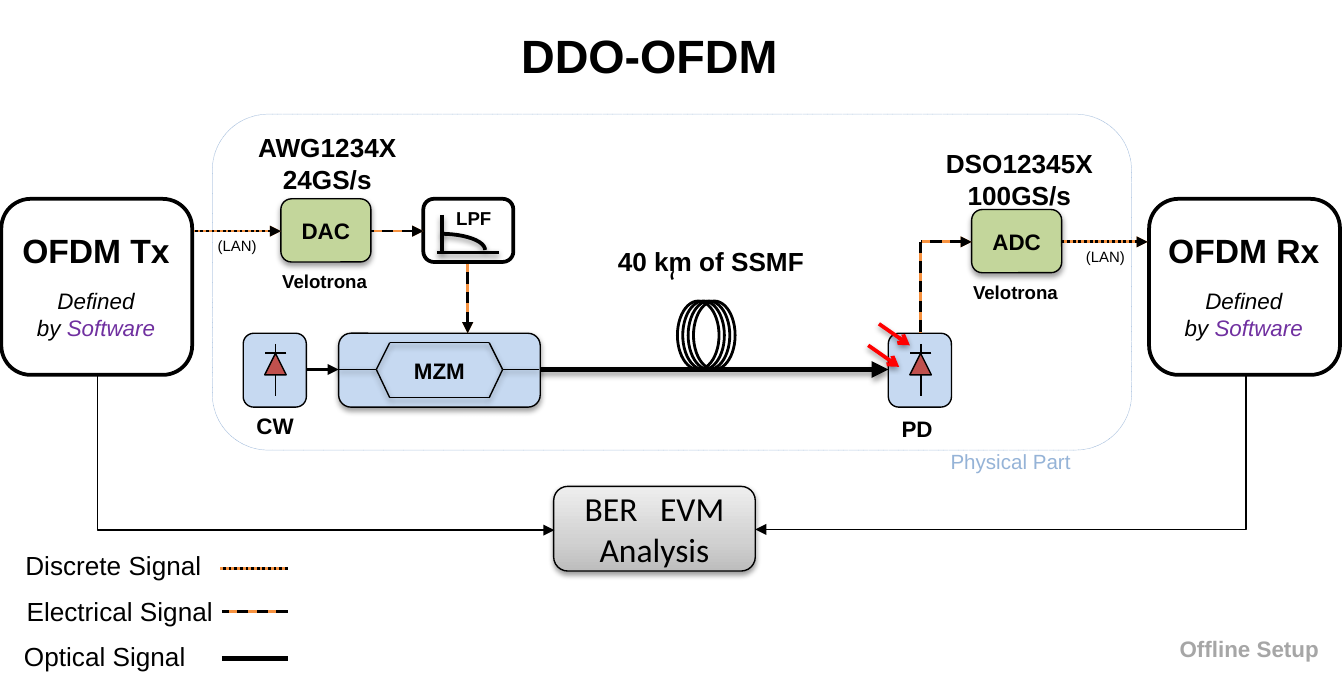
from dataclasses import dataclass
from itertools import pairwise
from typing import NamedTuple

from lxml.etree import SubElement
from pptx import Presentation
from pptx.dml.color import RGBColor
from pptx.enum.dml import MSO_LINE
from pptx.enum.shapes import MSO_CONNECTOR, MSO_SHAPE
from pptx.enum.text import MSO_ANCHOR, MSO_AUTO_SIZE, PP_ALIGN
from pptx.oxml import parse_xml
from pptx.oxml.ns import nsdecls, qn
from pptx.util import Inches, Pt


@dataclass(frozen=True)
class Theme:
    black: str = "000000"
    white: str = "FFFFFF"
    orange: str = "F69240"
    red: str = "FF0000"
    optical: str = "C6D9F1"
    converter: str = "C3D69B"
    diode: str = "C0504D"
    physical: str = "95B3D7"
    software: str = "7030A0"
    gray: str = "A6A6A6"
    gradient: tuple = ((0, "BDBDBD"), (35, "D1D1D1"), (100, "EEEEEE"))
    sans: str = "Arial"
    body: str = "Calibri"
    title: int = 25
    heading: int = 18
    label: int = 14
    device: int = 12
    region: int = 11
    small: int = 10
    tiny: int = 8


class Label(NamedTuple):
    text: str
    box: tuple
    size: int
    bold: bool = False
    color: str = Theme.black
    align: PP_ALIGN = PP_ALIGN.CENTER
    wrap: bool = False


class Signal(NamedTuple):
    start: tuple
    end: tuple
    dash: MSO_LINE
    head: bool = True


class Converter(NamedTuple):
    name: str
    x: float
    y: float
    model: str
    model_box: tuple


T = Theme()
DOT, DASH = MSO_LINE.ROUND_DOT, MSO_LINE.DASH
ROUND = MSO_SHAPE.ROUNDED_RECTANGLE

prs = Presentation()
prs.slide_width, prs.slide_height = Inches(10), Inches(5.12)
s = prs.slides.add_slide(prs.slide_layouts[6])


def rgb(value: str) -> RGBColor:
    return RGBColor.from_string(value)


def set_effects(sp, shadow: bool) -> None:
    props = sp._element.spPr
    for old in props.findall(qn("a:effectLst")):
        props.remove(old)
    effects = SubElement(props, qn("a:effectLst"))
    if shadow:
        outer = SubElement(effects, qn("a:outerShdw"), blurRad=str(Pt(3.1)),
                           dist=str(Pt(1.6)), dir="5400000", rotWithShape="0")
        color = SubElement(outer, qn("a:srgbClr"), val=T.black)
        SubElement(color, qn("a:alpha"), val="38000")


def set_font(target, size: int, bold: bool = False, color: str = T.black, name: str = T.sans) -> None:
    f = target.font
    f.name, f.size, f.bold = name, Pt(size), bold
    f.color.rgb = rgb(color)


def add_box(kind, box: tuple, fill: str = "", line: str = T.black, width: float = 0.75,
            shadow: bool = False, text: str = "", size: int = T.device,
            bold: bool = True, font: str = T.sans):
    sp = s.shapes.add_shape(kind, *map(Inches, box))
    sp.shadow.inherit = False
    if fill:
        sp.fill.solid()
        sp.fill.fore_color.rgb = rgb(fill)
    else:
        sp.fill.background()
    sp.line.color.rgb, sp.line.width = rgb(line), Pt(width)
    set_effects(sp, shadow)
    if text:
        tf = sp.text_frame
        tf.vertical_anchor = MSO_ANCHOR.MIDDLE
        p = tf.paragraphs[0]
        p.text, p.alignment = text, PP_ALIGN.CENTER
        set_font(p, size, bold, name=font)
    return sp


def add_label(label: Label):
    sp = s.shapes.add_textbox(*map(Inches, label.box))
    tf = sp.text_frame
    tf.word_wrap, tf.auto_size = label.wrap, MSO_AUTO_SIZE.SHAPE_TO_FIT_TEXT
    tf.text = label.text
    for p in tf.paragraphs:
        p.alignment = label.align
        set_font(p, label.size, label.bold, label.color)
    return sp


def add_line(start: tuple, end: tuple, color: str = T.black, width: float = 0.75,
             dash=None, head: str = "", tail: str = "", shadow: bool = False,
             kind=MSO_CONNECTOR.STRAIGHT):
    c = s.shapes.add_connector(kind, *map(Inches, (*start, *end)))
    c.line.color.rgb, c.line.width = rgb(color), Pt(width)
    if dash:
        c.line.dash_style = dash
    for tag, arrow in (("a:headEnd", head), ("a:tailEnd", tail)):
        if arrow:
            SubElement(c._element.spPr.find(qn("a:ln")), qn(tag), type=arrow)
    set_effects(c, shadow)
    return c


def add_signal(signal: Signal) -> None:
    for color, dash in ((T.orange, None), (T.black, signal.dash)):
        add_line(signal.start, signal.end, color, 1.5, dash, "triangle" if signal.head else "")


def add_diode(x: float) -> None:
    add_box(ROUND, (x, 2.48, 0.47, 0.55), T.optical)
    add_line((x + 0.24, 2.56), (x + 0.24, 2.95), width=1)
    add_box(MSO_SHAPE.ISOSCELES_TRIANGLE, (x + 0.16, 2.63, 0.16, 0.16), T.diode)
    add_line((x + 0.32, 2.63), (x + 0.16, 2.63), width=1)


def add_converter(item: Converter) -> None:
    add_box(ROUND, (item.x, item.y, 0.67, 0.47), T.converter, shadow=True, text=item.name)
    add_label(Label(item.model, item.model_box, T.label, True))
    add_label(Label("Velotrona", (item.x - 0.09, item.y + 0.48, 0.83, 0.27), T.small, True))


def add_terminal(x: float, name: str) -> None:
    add_box(ROUND, (x, 1.48, 1.42, 1.31), T.white, width=2)
    sp = add_label(Label(f"{name}\nDefined\nby ", (x - 0.01, 1.66, 1.43, 0.94), T.heading, True, wrap=True))
    _, defined, by = sp.text_frame.paragraphs
    for p in (defined, by):
        set_font(p, T.device)
        p.font.italic = True
    defined.space_before = Pt(9.2)
    r = by.add_run()
    r.text = "Software"
    r.font.color.rgb = rgb(T.software)


def add_feedback(start: tuple, end: tuple, box: tuple, rotation: int, flip: str) -> None:
    c = add_line(start, end, tail="triangle", kind=MSO_CONNECTOR.ELBOW)
    c.left, c.top, c.width, c.height = map(Inches, box)
    c._element.spPr.find(qn("a:prstGeom")).set("prst", "bentConnector2")
    xfrm = c._element.spPr.find(qn("a:xfrm"))
    xfrm.attrib.pop("flipH", None)
    xfrm.set("rot", str(rotation * 60000))
    if flip:
        xfrm.set(flip, "1")


def add_analysis() -> None:
    sp = add_box(ROUND, (4.12, 3.62, 1.5, 0.63), T.white, shadow=True,
                 text="BER", size=T.heading, bold=False, font=T.body)
    stops = "".join(f'<a:gs pos="{pos * 1000}"><a:srgbClr val="{color}"/></a:gs>' for pos, color in T.gradient)
    fill = sp._element.spPr.find(qn("a:solidFill"))
    fill.getparent().replace(fill, parse_xml(
        f'<a:gradFill {nsdecls("a")} rotWithShape="1"><a:gsLst>{stops}</a:gsLst>'
        '<a:lin ang="16200000" scaled="0"/></a:gradFill>'))
    tf = sp.text_frame
    p = tf.paragraphs[0]
    gap = p.add_run()
    gap.text = " "
    gap.font._element.set("spc", "800")
    p.add_run().text = "EVM"
    p = tf.add_paragraph()
    p.text, p.alignment = "Analysis", PP_ALIGN.CENTER
    set_font(p, T.heading, name=T.body)


add_box(ROUND, (1.58, 0.85, 6.84, 2.5), line=T.physical, width=0.25, text="‘",
        size=T.heading, bold=False, font=T.body).line.dash_style = DOT

add_line((2.52, 2.75), (6.61, 2.75), width=3, tail="triangle", shadow=True)
add_box(ROUND, (2.52, 2.48, 1.5, 0.55), T.optical, shadow=True, text="MZM")
hexagon = [(2.8, 2.75), (2.9, 2.55), (3.64, 2.55), (3.74, 2.75), (3.64, 2.96), (2.9, 2.96), (2.8, 2.75)]
for start, end in [*pairwise(hexagon), ((2.52, 2.75), (2.8, 2.75)), ((3.74, 2.75), (4.01, 2.75))]:
    add_line(start, end, shadow=True)

for diode_x in (1.81, 6.61):
    add_diode(diode_x)
for x, y in ((6.46, 2.57), (6.54, 2.41)):
    add_line((x, y), (x + 0.23, y + 0.16), T.red, 2, tail="arrow", shadow=True)

for i in range(4):
    add_box(MSO_SHAPE.OVAL, (5.04 + 0.04 * i, 2.24, 0.31, 0.51), width=1.5)
add_line((1.65, 4.9), (2.14, 4.9), width=3)
add_line((2.28, 2.75), (2.52, 2.75), width=1.5, tail="triangle")

for converter in (Converter("DAC", 2.09, 1.48, "AWG1234X\n24GS/s", (1.81, 0.93, 1.25, 0.57)),
                  Converter("ADC", 7.23, 1.56, "DSO12345X\n100GS/s", (6.93, 1.05, 1.31, 0.57))):
    add_converter(converter)
for terminal_x, terminal in ((0.01, "OFDM Tx"), (8.55, "OFDM Rx")):
    add_terminal(terminal_x, terminal)
add_analysis()

add_box(ROUND, (3.15, 1.48, 0.67, 0.47), T.white, width=2)
add_line((3.29, 1.6), (3.29, 1.88), width=2, shadow=True)
add_line((3.25, 1.88), (3.71, 1.88), width=2, shadow=True)
add_box(MSO_SHAPE.ARC, (2.95, 1.74, 0.66, 0.24), width=2, shadow=True)

for signal in (Signal((2.09, 1.72), (1.44, 1.72), DOT), Signal((3.15, 1.72), (2.76, 1.72), DASH),
               Signal((3.48, 2.48), (3.48, 1.96), DASH), Signal((7.23, 1.8), (6.85, 1.8), DASH),
               Signal((8.54, 1.8), (7.9, 1.8), DOT), Signal((6.85, 1.8), (6.85, 2.48), DASH, False),
               Signal((2.14, 4.23), (1.64, 4.23), DOT, False), Signal((2.14, 4.55), (1.65, 4.55), DASH, False)):
    add_signal(signal)

LEFT = PP_ALIGN.LEFT
for label in (Label("DDO-OFDM", (3.78, 0.15, 2.13, 0.52), T.title, True, align=LEFT),
              Label("PD", (6.61, 3.04, 0.44, 0.3), T.device, True, align=LEFT),
              Label("CW", (1.81, 3.02, 0.48, 0.3), T.device, True, align=LEFT),
              Label("LPF", (3.29, 1.49, 0.47, 0.27), T.small, True),
              Label("40 km of SSMF", (4.49, 1.78, 1.6, 0.34), T.label, True),
              Label("(LAN)", (1.5, 1.71, 0.53, 0.24), T.tiny, wrap=True),
              Label("(LAN)", (7.96, 1.79, 0.53, 0.24), T.tiny, wrap=True),
              Label("Discrete Signal", (0.09, 4.04, 1.52, 0.34), T.label, align=LEFT),
              Label("Electrical Signal", (0.1, 4.38, 1.6, 0.34), T.label, align=LEFT),
              Label("Optical Signal", (0.08, 4.72, 1.41, 0.34), T.label, align=LEFT),
              Label("Physical Part", (6.97, 3.29, 1.1, 0.29), T.region, color=T.physical),
              Label("Offline Setup", (8.67, 4.68, 1.25, 0.3), T.device, True, T.gray)):
    add_label(label)

add_feedback((0.72, 2.79), (4.12, 3.94), (1.85, 1.67, 1.15, 3.4), 270, "flipH")
add_feedback((9.27, 2.79), (5.61, 3.94), (6.87, 1.54, 1.15, 3.65), 90, "")

prs.save("out.pptx")
